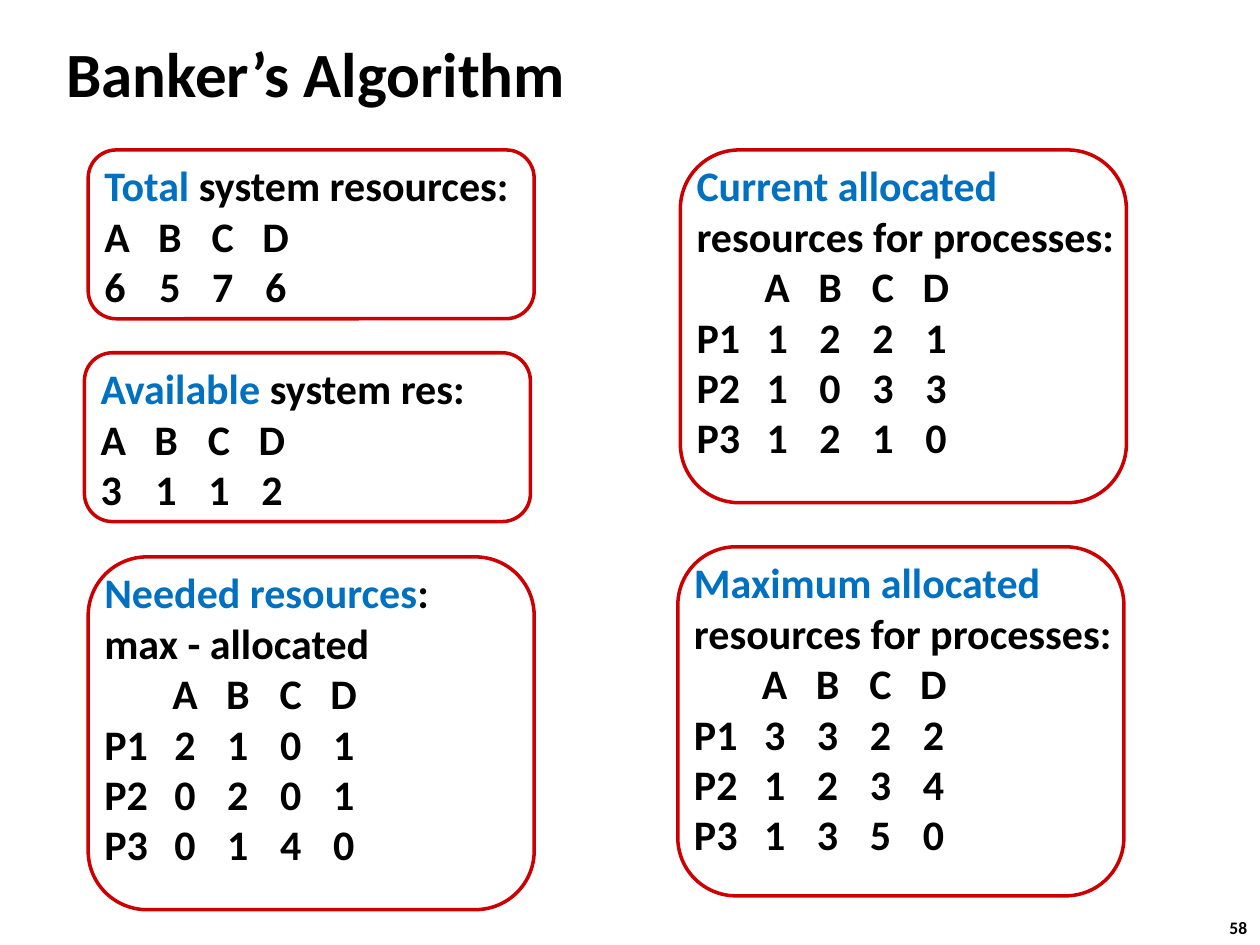
from dataclasses import dataclass

from lxml import etree
from pptx import Presentation
from pptx.dml.color import RGBColor
from pptx.enum.shapes import MSO_SHAPE
from pptx.enum.text import MSO_ANCHOR
from pptx.oxml.ns import qn
from pptx.util import Inches, Pt

ROUNDED = MSO_SHAPE.ROUNDED_RECTANGLE
MIDDLE = MSO_ANCHOR.MIDDLE

FONT = "Calibri"
BLACK, BLUE, RED = "000000", "0070C0", "CC0000"
PANEL_WIDTH = 3.54
TEXT_OFFSET = 0.03
COLUMN_PITCH = 0.42
RESOURCES = ("A", "B", "C", "D")
PROCESSES = ("P1", "P2", "P3")


@dataclass
class Panel:
    left: float
    top: float
    height: float
    text_width: float
    text_height: float
    highlight: str
    rest: str
    subtitle: str
    values: tuple[str, ...]  # one digit per resource


PANELS = (
    Panel(0.7, 1.19, 1.34, 3.52, 1.31, "Total", " system resources:", "", ("6576",)),
    Panel(0.67, 2.8, 1.34, 3.2, 1.31, "Available", " system res:", "", ("3112",)),
    Panel(5.4, 1.19, 2.8, 3.63, 2.58, "Current allocated", "",
          "resources for processes:", ("1221", "1033", "1210")),
    Panel(5.38, 4.34, 2.77, 3.63, 2.52, "Maximum allocated", "",
          "resources for processes:", ("3322", "1234", "1350")),
    Panel(0.7, 4.42, 2.8, 2.8, 2.52, "Needed resources", ":",
          "max - allocated", ("2101", "0201", "0140")),
)


def rgb(color: str) -> RGBColor:
    return RGBColor.from_string(color)


def add_run(p, text: str, size: float, color: str = BLACK) -> None:
    r = p.add_run()
    r.text = text
    r.font.name = FONT
    r.font.size = Pt(size)
    r.font.bold = True
    r.font.color.rgb = rgb(color)


def add_text_box(shapes, left: float, top: float, width: float, height: float):
    tf = shapes.add_textbox(Inches(left), Inches(top), Inches(width), Inches(height)).text_frame
    tf.word_wrap = True
    return tf


def add_centre_tabs(p, positions: list[float]) -> None:
    tabs = etree.SubElement(p._p.get_or_add_pPr(), qn("a:tabLst"))
    for position in positions:
        etree.SubElement(tabs, qn("a:tab"), pos=str(Inches(position)), algn="ctr")


def add_panel(slide, panel: Panel) -> None:
    shapes = slide.shapes.add_group_shape().shapes
    sp = shapes.add_shape(ROUNDED, Inches(panel.left), Inches(panel.top),
                          Inches(PANEL_WIDTH), Inches(panel.height))
    sp.shadow.inherit = False
    sp.fill.background()
    sp.line.color.rgb = rgb(RED)
    sp.line.width = Pt(2)

    tf = add_text_box(shapes, panel.left + TEXT_OFFSET, panel.top + TEXT_OFFSET,
                      panel.text_width, panel.text_height)
    p = tf.paragraphs[0]
    add_run(p, panel.highlight, 24, BLUE)
    if panel.rest:
        add_run(p, panel.rest, 24)
    if panel.subtitle:
        add_run(tf.add_paragraph(), panel.subtitle, 24)

    if len(panel.values) > 1:
        first_column = 0.64
        rows = [("", *RESOURCES)]
        rows += [(name, *digits) for name, digits in zip(PROCESSES, panel.values)]
    else:
        first_column = 0.1 + COLUMN_PITCH
        rows = [RESOURCES, tuple(panel.values[0])]
    for row in rows:
        p = tf.add_paragraph()
        add_centre_tabs(p, [first_column + COLUMN_PITCH * i for i in range(len(row) - 1)])
        add_run(p, "\t".join(row), 24)


def main() -> None:
    prs = Presentation()
    prs.slide_width, prs.slide_height = Inches(10), Inches(7.5)
    slide = prs.slides.add_slide(prs.slide_layouts[6])

    page_number = add_text_box(slide.shapes, 9.66, 7.23, 0.37, 0.27)
    page_number.word_wrap = False
    add_run(page_number.paragraphs[0], "58", 10)

    title = add_text_box(slide.shapes, 0.43, 0.16, 8.3, 0.83)
    title.vertical_anchor = MIDDLE
    add_run(title.paragraphs[0], "Banker’s Algorithm", 36)

    for panel in PANELS:
        add_panel(slide, panel)

    prs.save("out.pptx")


if __name__ == "__main__":
    main()
